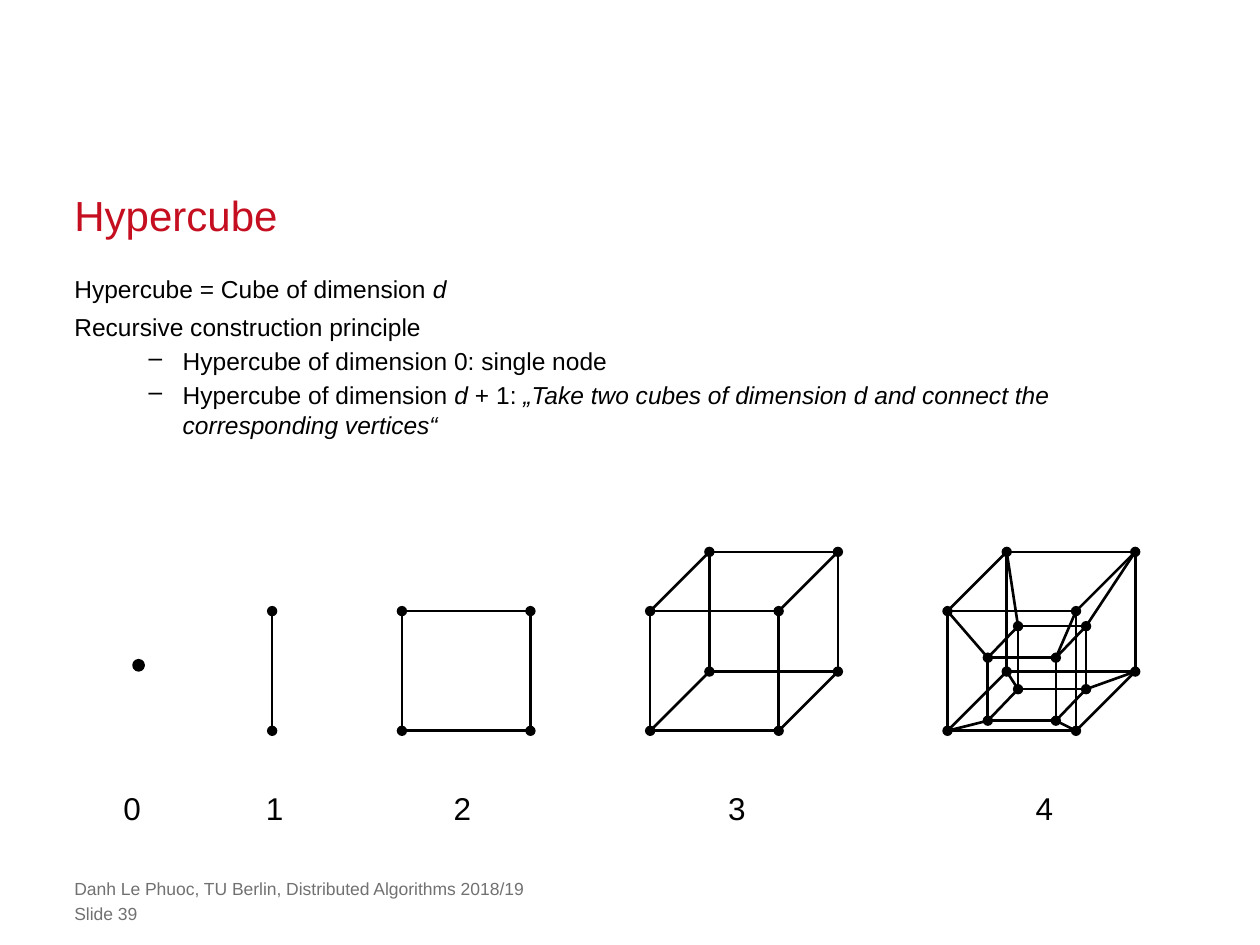
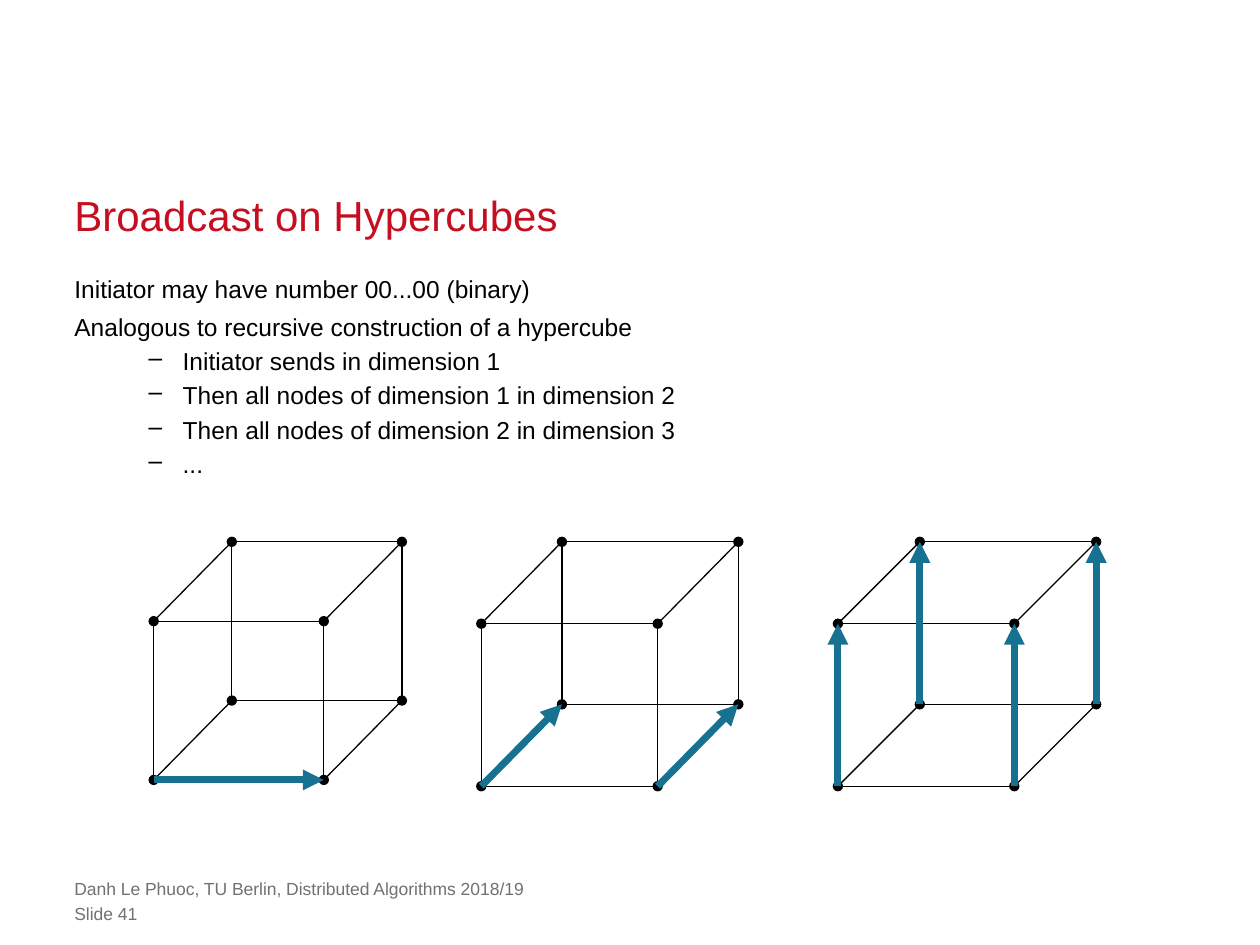
from pptx import Presentation
from pptx.dml.color import RGBColor as RGB
from pptx.enum.shapes import MSO_CONNECTOR as Link, MSO_SHAPE as Shape
from pptx.enum.text import MSO_ANCHOR as Anchor
from pptx.oxml.ns import qn
from pptx.oxml.xmlchemy import OxmlElement as Node
from pptx.util import Pt

PX = 9144  # 100 px to the inch
RED = RGB(0xC5, 0x0E, 0x1F)
BLACK = RGB(0, 0, 0)
GREY = RGB(0x71, 0x71, 0x71)
TEAL = RGB(0x17, 0x71, 0x91)
FONT = "Arial"
LEFT = 59
FOOTER = "Danh Le Phuoc, TU Berlin, Distributed Algorithms 2018/19"

# A cube is its first corner, the step along each dimension, and the
# dimension whose edges carry messages (0 for none).
UP, SIDE, BACK = (0, -95), (102, 0), (47, -47)
BUILD = [
    (216, 580, [UP], 0),
    (319, 580, [UP, SIDE], 0),
    (516, 580, [UP, SIDE, BACK], 0),
    (752, 580, [UP, SIDE, BACK], 0),
    (784, 572, [(0, -50), (54, 0), (24, -25)], 0),
]
CAST = [
    (122, 619, [(135, 0), (62, -63), (0, -126)], 1),
    (382, 624, [(140, 0), (64, -65), (0, -129)], 2),
    (665, 624, [(140, 0), (65, -65), (0, -129)], 3),
]

# "|" switches italics on and off; a leading "–" marks a bullet.
PAGES = [
    ("Hypercube", 39, 1.5, BUILD, [
        "Hypercube = Cube of dimension |d",
        "Recursive construction principle",
        "–Hypercube of dimension 0: single node",
        "–Hypercube of dimension |d |+ 1: |„Take two cubes of dimension d "
        "and connect the corresponding vertices“",
    ]),
    ("Broadcast on Hypercubes", 41, 0.75, CAST, [
        "Initiator may have number 00...00 (binary)",
        "Analogous to recursive construction of a hypercube",
        "–Initiator sends in dimension 1",
        "–Then all nodes of dimension 1 in dimension 2",
        "–Then all nodes of dimension 2 in dimension 3",
        "–...",
    ]),
]


def write(slide, box, lines, size, color, lead=None):
    """Add a text box without insets, one paragraph per line."""
    frame = slide.shapes.add_textbox(*(n * PX for n in box)).text_frame
    frame.word_wrap = True
    frame.margin_left = frame.margin_right = 0
    frame.margin_top = frame.margin_bottom = 0
    for i, line in enumerate(lines):
        para = frame.paragraphs[0] if i == 0 else frame.add_paragraph()
        if lead:
            para.line_spacing = Pt(lead)
        if line.startswith("–"):
            para.line_spacing, para.space_before = Pt(17), Pt(2.5)
            props = para._p.get_or_add_pPr()
            props.set("marL", str(86 * PX))
            props.set("indent", str(-27 * PX))
            mark = Node("a:buChar")
            mark.set("char", "–")
            props.append(mark)
        for k, part in enumerate(line.removeprefix("–").split("|")):
            run = para.add_run()
            run.text = part
            run.font.name, run.font.size = FONT, Pt(size)
            run.font.color.rgb = color
            run.font.italic = k % 2 == 1
    return frame


def join(slide, start, end, width, color=BLACK, head="none", tail="none"):
    line = slide.shapes.add_connector(
        Link.STRAIGHT, *(n * PX for n in (*start, *end)))
    line.line.width = Pt(width)
    line.line.color.rgb = color
    props = line.element.spPr
    for tag, kind in (("a:headEnd", head), ("a:tailEnd", tail)):
        tip = Node(tag)
        tip.set("type", kind)
        props.find(qn("a:ln")).append(tip)
    props.append(Node("a:effectLst"))


deck = Presentation()
deck.slide_width, deck.slide_height = 1000 * PX, 750 * PX

for title, page, width, cubes, body in PAGES:
    slide = deck.slides.add_slide(deck.slide_layouts[6])
    frame = write(slide, (LEFT, 148, 882, 42), [title], 24, RED, 30)
    frame.vertical_anchor = Anchor.BOTTOM
    write(slide, (LEFT, 210, 882, 445), body, 14, BLACK, 22)
    for top, note in ((697, FOOTER), (717, f"Slide {page}")):
        write(slide, (LEFT, top, 724, 17), [note], 10, GREY)

    solids = []
    for x, y, steps, send in cubes:
        nodes, edges, sent = [(x, y)], [], []
        # Each dimension doubles the cube and joins matching corners.
        for dim, (dx, dy) in enumerate(steps, 1):
            twins = [(a + dx, b + dy) for a, b in nodes]
            edges += [((a + dx, b + dy), (c + dx, d + dy))
                      for (a, b), (c, d) in edges]
            pairs = list(zip(nodes, twins))
            if dim == send:
                sent = pairs
            edges += pairs
            nodes += twins
        for start, end in edges:
            cap = "oval" if start[0] == end[0] else "none"
            join(slide, start, end, width, head=cap, tail=cap)
        for start, end in sent:
            join(slide, start, end, 4, TEAL, tail="triangle")
        solids.append(nodes)

    if cubes is BUILD:
        for inner, outer in zip(solids[-1], solids[-2]):
            join(slide, inner, outer, width)
        dot = slide.shapes.add_shape(
            Shape.OVAL, 106 * PX, 524 * PX, 8 * PX, 8 * PX)
        dot.shadow.inherit = False
        dot.fill.solid()
        dot.fill.fore_color.rgb = dot.line.color.rgb = BLACK
        dot.line.width = Pt(width)
        for dim, x in enumerate((98, 211, 360, 578, 822)):
            write(slide, (x, 626, 14, 30), [str(dim)], 18, BLACK)

deck.save("out.pptx")
